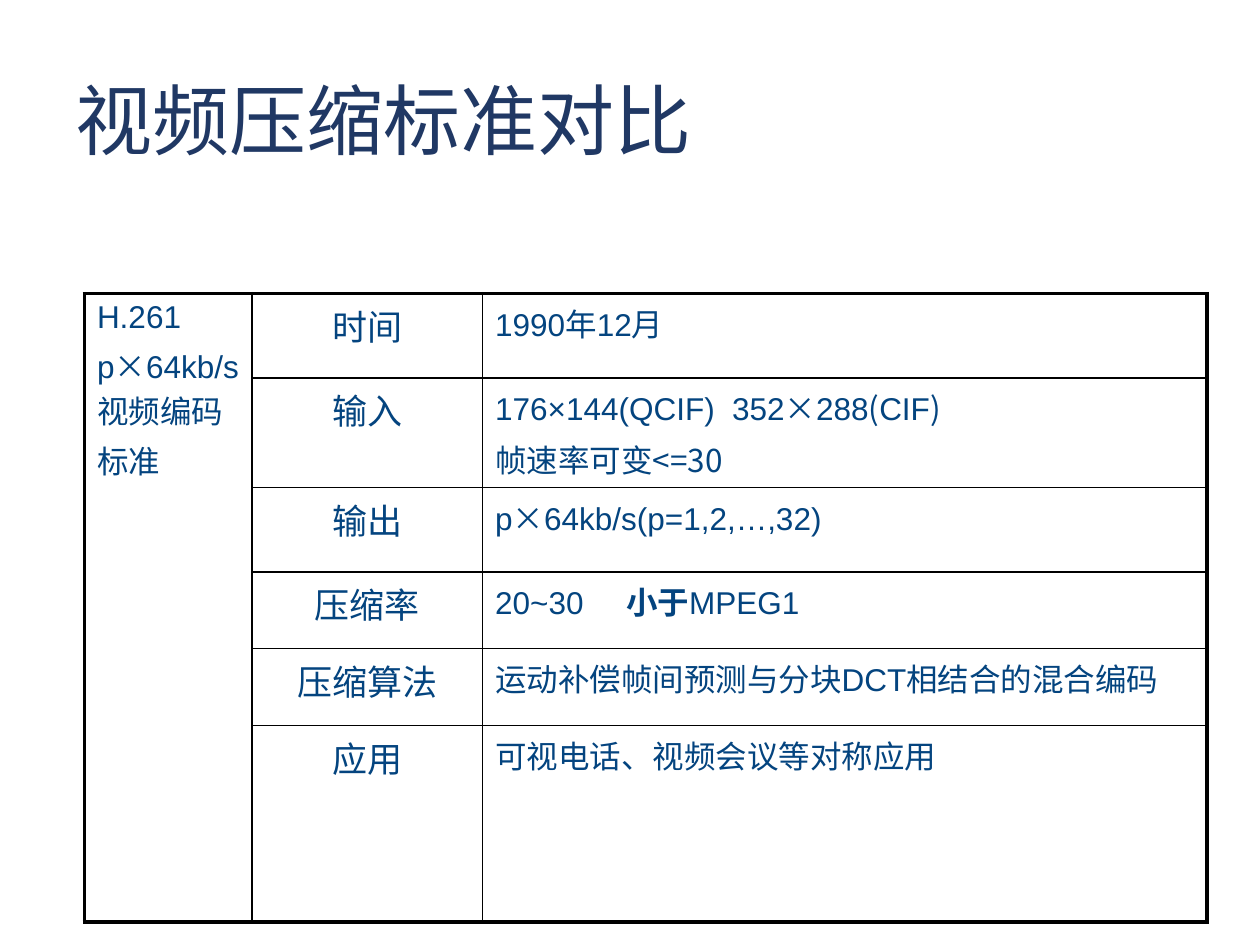
from lxml import etree
from pptx import Presentation
from pptx.dml.color import RGBColor
from pptx.enum.text import MSO_ANCHOR, PP_ALIGN
from pptx.oxml.ns import qn
from pptx.util import Inches, Pt

LEFT, MID, JUST = PP_ALIGN.LEFT, PP_ALIGN.CENTER, PP_ALIGN.JUSTIFY
CENTER = MSO_ANCHOR.MIDDLE
LATIN, HAN = "Arial", "Noto Sans CJK SC"
NAVY, BLUE, BLACK = "203864", "04447F", "000000"


def style(para, size, face, color, align=LEFT, stop=None):
    para.alignment = align
    if stop:
        tabs = etree.SubElement(para._p.get_or_add_pPr(), qn("a:tabLst"))
        etree.SubElement(tabs, qn("a:tab"), pos=str(Inches(stop)), algn="l")
    font = para.font
    font.size = Pt(size)
    font.name = face
    font.color.rgb = RGBColor.from_string(color)
    etree.SubElement(font._element, qn("a:ea"), typeface=HAN)


def border(cell, widths):
    props = cell._tc.get_or_add_tcPr()
    for spot, (side, width) in enumerate(zip("LRTB", widths)):
        line = etree.Element(qn("a:ln" + side), w=str(Pt(width)))
        fill = etree.SubElement(line, qn("a:solidFill"))
        etree.SubElement(fill, qn("a:srgbClr"), val=BLACK)
        props.insert(spot, line)


deck = Presentation()
deck.slide_width, deck.slide_height = Inches(10), Inches(7.5)
slide = deck.slides.add_slide(deck.slide_layouts[6])

title = slide.shapes.add_textbox(Inches(0.5), Inches(0.5), Inches(9), Inches(0.97))
frame = title.text_frame
frame.word_wrap = True
frame.vertical_anchor = CENTER
head = frame.paragraphs[0]
head.text = "视频压缩标准对比"
head.line_spacing = 0.9
style(head, 44, HAN, NAVY)

labels = ["时间", "输入", "输出", "压缩率", "压缩算法", "应用"]
name = [[("H.261", LATIN)],
        [("p", LATIN), ("×", HAN), ("64kb/s", LATIN), ("视频编码标准", HAN), (" ", LATIN)]]
facts = [
    [[("1990年12月", LATIN)]],
    [[("176×144(QCIF)\t352", LATIN), ("×", HAN), ("288", LATIN),
      ("(", HAN), ("CIF", LATIN), (")", HAN)],
     [("帧速率可变<=30", HAN)]],
    [[("p", LATIN), ("×", HAN), ("64kb/s(p=1,2,…,32)", LATIN)]],
    [[("20~30\t", LATIN), ("小于", LATIN), ("MPEG1", LATIN)]],
    [[("运动补偿帧间预测与分块DCT相结合的混合编码", LATIN)]],
    [[("可视电话、视频会议等对称应用", LATIN)]],
]
stops = {1: 1.88, 3: 1.04}
wides = [1.33, 1.83, 5.75]
highs = [0.67, 0.87, 0.67, 0.61, 0.61, 1.56]

grid = slide.shapes.add_table(len(highs), len(wides), Inches(0.67), Inches(2.33),
                              Inches(sum(wides)), Inches(sum(highs))).table
grid.first_row = grid.horz_banding = False
for col, wide in zip(grid.columns, wides):
    col.width = Inches(wide)
for row, high in zip(grid.rows, highs):
    row.height = Inches(high)
grid.cell(0, 0).merge(grid.cell(len(highs) - 1, 0))

for r, (label, fact) in enumerate(zip(labels, facts)):
    texts = [name if r == 0 else [], [[(label, LATIN)]], fact]
    for c, paras in enumerate(texts):
        cell = grid.cell(r, c)
        cell.fill.background()
        last = r == len(highs) - 1 or cell.is_merge_origin
        edges = [c == 0, c == len(wides) - 1, r == 0, last]
        border(cell, [2.25 if edge else 1 for edge in edges])
        align = MID if c == 1 else JUST if (r, c) == (1, 2) else LEFT
        for n, parts in enumerate(paras):
            para = cell.text_frame.paragraphs[0] if n == 0 else cell.text_frame.add_paragraph()
            if n:
                para.space_before = Pt(3.6)
            stop = stops.get(r) if c == 2 and n == 0 else None
            base = parts[0][1]
            style(para, 20 if c == 1 else 18, base, BLUE, align, stop)
            for text, face in parts:
                run = para.add_run()
                run.text = text
                if face != base:
                    run.font.name = face
                if text == "小于":
                    run.font.bold = True
                if text == " ":
                    run.font.size = Pt(20)

deck.save("out.pptx")
